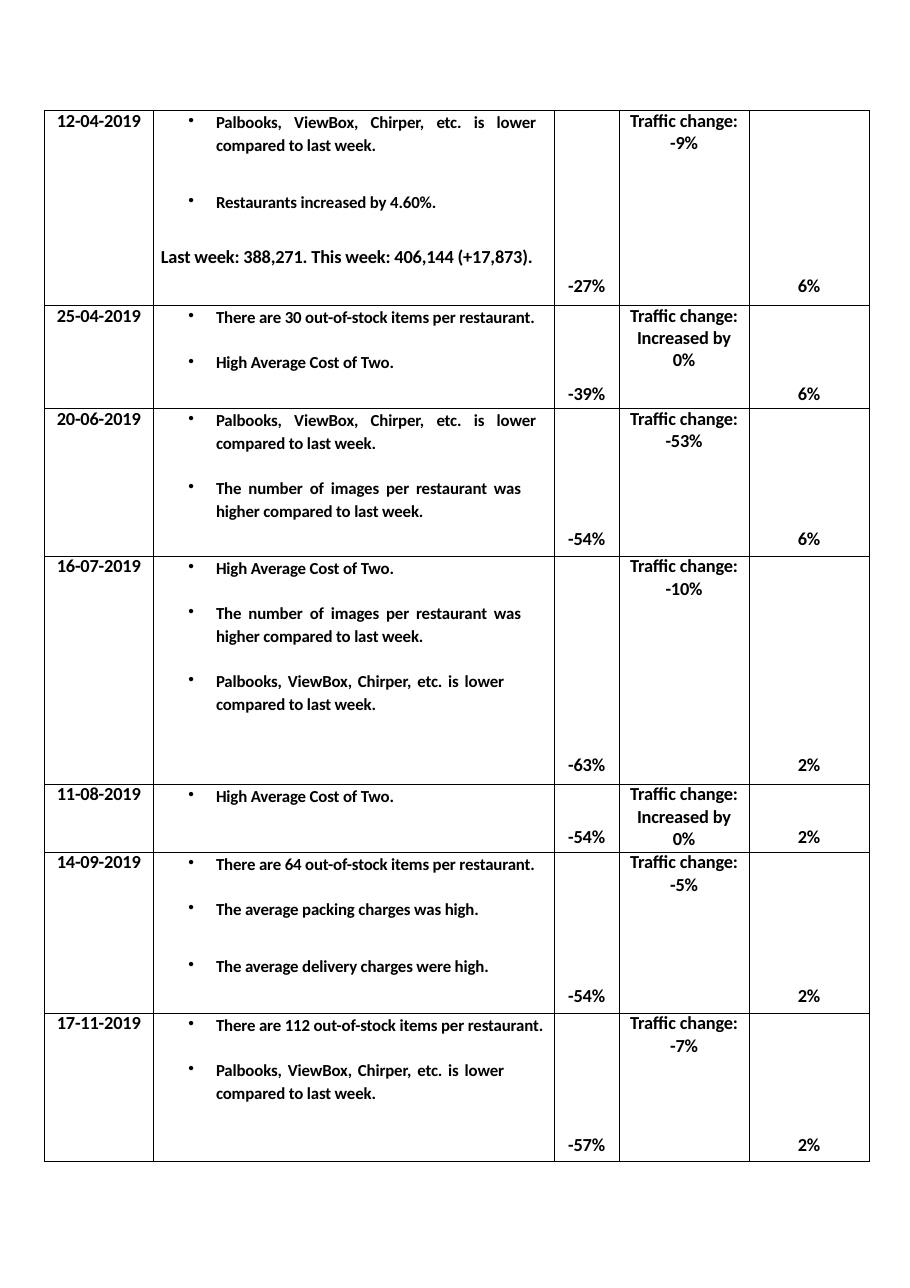
from lxml import etree
from pptx import Presentation
from pptx.dml.color import RGBColor
from pptx.enum.text import MSO_ANCHOR, PP_ALIGN
from pptx.oxml.ns import qn
from pptx.util import Pt

CENTER, JUSTIFY, LEFT = PP_ALIGN.CENTER, PP_ALIGN.JUSTIFY, PP_ALIGN.LEFT
TOP, BOTTOM = MSO_ANCHOR.TOP, MSO_ANCHOR.BOTTOM
BLACK = RGBColor(0, 0, 0)
FONT = "Calibri"

TABLE_BOX = (29, 72.2, 539, 686.7)
COLUMN_WIDTHS = (71.2, 262, 42.5, 84.9, 78.4)
NEAR, FAR = 14.6, 22.2
SOCIAL = "Palbooks, ViewBox, Chirper, etc. is lower compared to last week."
IMAGES = "The number of images per restaurant was higher compared to last week."
COST = "High Average Cost of Two."


def bullet(text, before=0, right=0):
    """Describe one bulleted reason."""
    return dict(text=text, size=11, align=JUSTIFY, left=41, hanging=18,
                right=right, before=before, spacing=1.1, mark="•")


def stock(count):
    """Describe the reason about items out of stock."""
    return bullet(f"There are {count} out-of-stock items per restaurant.")


WEEK_TOTALS = dict(text="Last week: 388,271. This week: 406,144 (+17,873).",
                   align=LEFT, left=5, before=FAR)

ROWS = [
    (127.4, "12-04-2019",
     [bullet(SOCIAL, right=11.8),
      bullet("Restaurants increased by 4.60%.", FAR), WEEK_TOTALS],
     "-27%", ["-9%"], "6%", 5.2),
    (67.3, "25-04-2019", [stock(30), bullet(COST, NEAR)],
     "-39%", ["Increased by", "0%"], "6%", 2),
    (96.7, "20-06-2019",
     [bullet(SOCIAL, right=11.8), bullet(IMAGES, NEAR, 21.6)],
     "-54%", ["-53%"], "6%", 4),
    (149, "16-07-2019",
     [bullet(COST), bullet(IMAGES, NEAR, 21.6), bullet(SOCIAL, NEAR, 32.7)],
     "-63%", ["-10%"], "2%", 5.2),
    (44.4, "11-08-2019", [bullet(COST)],
     "-54%", ["Increased by", "0%"], "2%", 2.5),
    (105.2, "14-09-2019",
     [stock(64), bullet("The average packing charges was high.", NEAR),
      bullet("The average delivery charges were high.", FAR)],
     "-54%", ["-5%"], "2%", 4),
    (96.7, "17-11-2019", [stock(112), bullet(SOCIAL, NEAR, 32.7)],
     "-57%", ["-7%"], "2%", 3.2),
]


def write_para(para, text, size=12, align=CENTER, left=0, hanging=0, right=0,
               before=0, spacing=Pt(14.1), mark=None):
    """Write one bold paragraph with its indents and optional bullet."""
    para.alignment = align
    para.space_before = Pt(before)
    para.line_spacing = spacing
    props = para._p.get_or_add_pPr()
    for name, length in (("marL", left), ("marR", right), ("indent", -hanging)):
        props.set(name, str(int(Pt(length))))
    if mark:
        etree.SubElement(props, qn("a:buChar"), char=mark)
    span = para.add_run()
    span.text = text
    font = span.font
    font.name, font.size, font.bold = FONT, Pt(size), True
    font.color.rgb = BLACK
    span._r.get_or_add_rPr().set("spc", "-10")


def draw_borders(cell, width=0.5):
    """Draw a thin line on every side of a cell."""
    props = cell._tc.get_or_add_tcPr()
    for side in ("a:lnL", "a:lnR", "a:lnT", "a:lnB"):
        line = etree.SubElement(props, qn(side), w=str(int(Pt(width))))
        fill = etree.SubElement(line, qn("a:solidFill"))
        etree.SubElement(fill, qn("a:srgbClr"), val=str(BLACK))


def fill_cell(cell, entries, anchor=TOP, bottom=0):
    """Format a cell and write its paragraphs."""
    draw_borders(cell)
    cell.fill.background()
    cell.margin_left = cell.margin_right = cell.margin_top = 0
    cell.margin_bottom = Pt(bottom)
    cell.vertical_anchor = anchor
    frame = cell.text_frame
    for index, entry in enumerate(entries):
        para = frame.add_paragraph() if index else frame.paragraphs[0]
        write_para(para, **entry)


def add_drop_table(page, box):
    """Place the table of dates, reasons and changes in the box."""
    frame = page.shapes.add_table(len(ROWS), len(COLUMN_WIDTHS),
                                  *(Pt(length) for length in box))
    table = frame.table
    table.first_row = table.horz_banding = False
    for column, width in zip(table.columns, COLUMN_WIDTHS):
        column.width = Pt(width)
    for row, record in zip(table.rows, ROWS):
        height, date, reasons, change, traffic, rate, bottom = record
        row.height = Pt(height)
        traffic_lines = [dict(text="Traffic change:")]
        traffic_lines += [dict(text=text, before=0.6) for text in traffic]
        cells = row.cells
        fill_cell(cells[0], [dict(text=date)])
        fill_cell(cells[1], reasons)
        fill_cell(cells[2], [dict(text=change)], BOTTOM, bottom)
        fill_cell(cells[3], traffic_lines)
        fill_cell(cells[4], [dict(text=rate)], BOTTOM, bottom)


def main():
    """Build the deck and save it."""
    deck = Presentation()
    deck.slide_width, deck.slide_height = Pt(594.72), Pt(841.68)
    page = deck.slides.add_slide(deck.slide_layouts[6])
    add_drop_table(page, TABLE_BOX)
    deck.save("out.pptx")


main()
